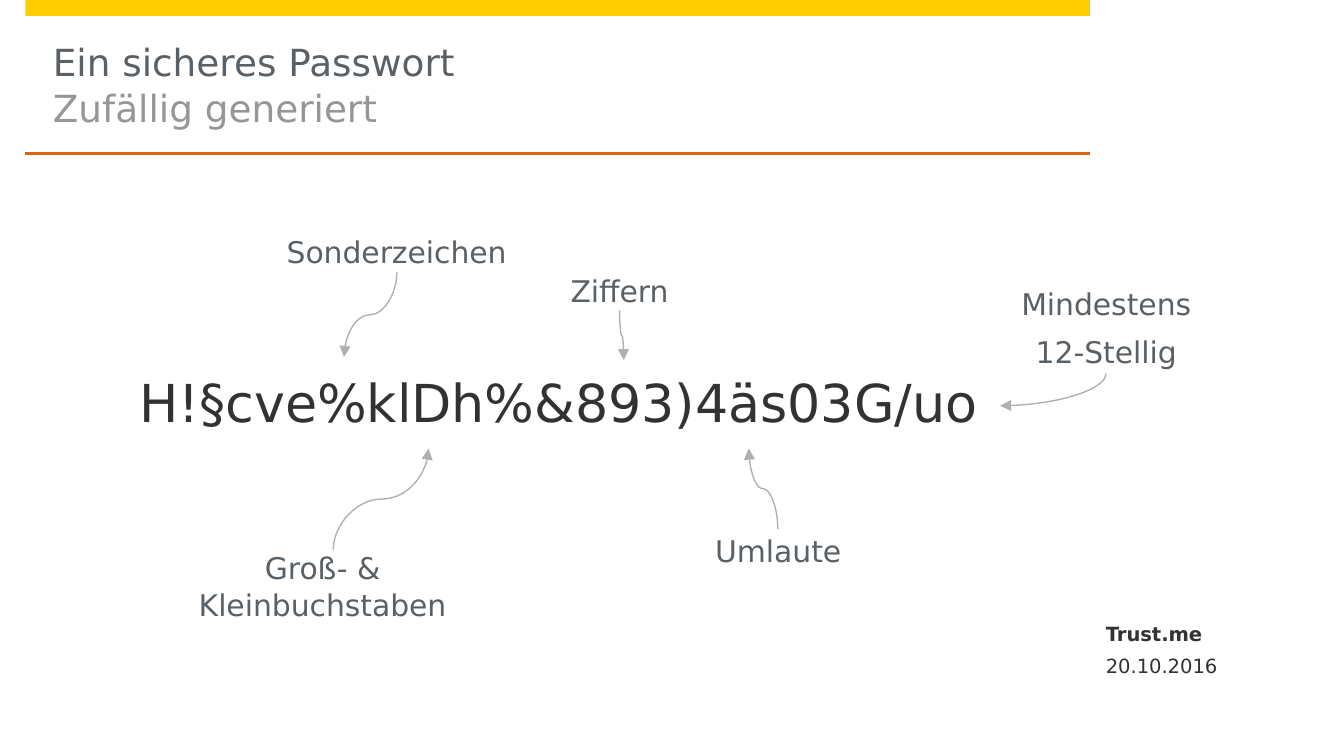
from lxml import etree
from pptx import Presentation
from pptx.dml.color import RGBColor
from pptx.enum.shapes import MSO_CONNECTOR, MSO_SHAPE
from pptx.enum.text import MSO_ANCHOR, PP_ALIGN
from pptx.oxml.ns import qn
from pptx.util import Cm, Pt

RECTANGLE = MSO_SHAPE.RECTANGLE
STRAIGHT, CURVE = MSO_CONNECTOR.STRAIGHT, MSO_CONNECTOR.CURVE
TOP, MIDDLE, BOTTOM = MSO_ANCHOR.TOP, MSO_ANCHOR.MIDDLE, MSO_ANCHOR.BOTTOM
LEFT, CENTER = PP_ALIGN.LEFT, PP_ALIGN.CENTER

FONT = "DejaVu Sans"
LINE_SPACING = 1.03
COLORS = {
    "yellow": "FFCC00",
    "orange": "DD640C",
    "slate": "5A6166",
    "grey": "969696",
    "dark": "323232",
    "arrow": "B0B0B0",
}


class SlideBuilder:
    """Holds the slide and draws styled elements; all lengths are in cm."""

    def __init__(self, slide):
        self.slide = slide

    def color(self, name):
        return RGBColor.from_string(COLORS[name])

    def bar(self, left, top, width, height, color):
        bar = self.slide.shapes.add_shape(
            RECTANGLE, Cm(left), Cm(top), Cm(width), Cm(height))
        bar.shadow.inherit = False
        bar.fill.solid()
        bar.fill.fore_color.rgb = self.color(color)
        bar.line.fill.background()

    def run(self, paragraph, text, size, color, bold=False):
        run = paragraph.add_run()
        run.text = text
        run.font.name = FONT
        run.font.size = Pt(size)
        run.font.bold = bold
        run.font.color.rgb = self.color(color)

    def frame(self, left, top, width, height, anchor, inset=(0, 0)):
        box = self.slide.shapes.add_textbox(
            Cm(left), Cm(top), Cm(width), Cm(height))
        frame = box.text_frame
        frame.word_wrap = True
        frame.vertical_anchor = anchor
        frame.margin_left, frame.margin_top = Cm(inset[0]), Cm(inset[1])
        frame.margin_right = frame.margin_bottom = 0
        return frame

    def title(self, left, top, width, height, heading, subheading):
        frame = self.frame(left, top, width, height, TOP, (0, 0.41))
        paragraph = frame.paragraphs[0]
        paragraph.alignment = LEFT
        paragraph.line_spacing = LINE_SPACING
        self.run(paragraph, heading, 20, "slate")
        paragraph.add_line_break()
        self.run(paragraph, subheading, 20, "grey")

    def centered(self, left, top, width, height, lines, size=16, color="slate"):
        frame = self.frame(left, top, width, height, MIDDLE)
        for index, line in enumerate(lines):
            paragraph = frame.add_paragraph() if index else frame.paragraphs[0]
            paragraph.alignment = CENTER
            paragraph.line_spacing = LINE_SPACING
            paragraph.space_before = paragraph.space_after = Pt(3)
            self.run(paragraph, line, size, color)

    def footer(self, top, height, text, anchor, bold=False):
        frame = self.frame(20.6, top, 4.29, height, anchor, (0.3, 0))
        self.run(frame.paragraphs[0], text, 10.5, "dark", bold)

    def line(self, kind, start, end, color, width):
        line = self.slide.shapes.add_connector(
            kind, *(Cm(length) for length in (*start, *end)))
        line.line.color.rgb = self.color(color)
        line.line.width = Pt(width)
        etree.SubElement(line._element.spPr, qn("a:effectLst"))
        return line

    def curved_arrow(self, start, end, preset="curvedConnector3"):
        """Leaves start vertically: a flipped box turned by a quarter."""
        dx, dy = end[0] - start[0], end[1] - start[1]
        center_x, center_y = start[0] + dx / 2, start[1] + dy / 2
        half_x = abs(dy) / 2 * (-1 if dx > 0 else 1)
        half_y = abs(dx) / 2 * (-1 if dy < 0 else 1)
        arrow = self.line(CURVE, (center_x - half_x, center_y - half_y),
                          (center_x + half_x, center_y + half_y), "arrow", 0.75)
        properties = arrow._element.spPr
        quarter_turns = 1 if dx * dy < 0 else 3
        properties.find(qn("a:xfrm")).set("rot", str(quarter_turns * 5400000))
        properties.find(qn("a:prstGeom")).set("prst", preset)
        head = etree.SubElement(properties.find(qn("a:ln")), qn("a:tailEnd"))
        head.set("type", "triangle")


def main():
    presentation = Presentation()
    presentation.slide_width, presentation.slide_height = Cm(25.4), Cm(14.29)
    builder = SlideBuilder(
        presentation.slides.add_slide(presentation.slide_layouts[6]))

    # Header
    builder.bar(0.48, 0, 20.12, 0.3, "yellow")
    builder.title(1, 0.3, 19.1, 2.57, "Ein sicheres Passwort",
                  "Zufällig generiert")
    builder.line(STRAIGHT, (0.48, 2.9), (20.6, 2.9), "orange", 2)

    # Password
    builder.centered(1, 6.68, 19.1, 1.8, ["H!§cve%klDh%&893)4äs03G/uo"],
                     28, "dark")

    # Rules: lines, label left, top and height, arrow start and end
    rules = [
        (["Groß- & Kleinbuchstaben"], 3.1, 10.67, 0.8,
         (6.3, 10.39), (8.1, 8.48)),
        (["Sonderzeichen"], 4.5, 4.35, 0.8, (7.5, 5.15), (6.5, 6.75)),
        (["Ziffern"], 8.71, 5.08, 0.8, (11.71, 5.87), (11.79, 6.81)),
        (["Umlaute"], 11.71, 10, 0.8, (14.7, 10), (14.15, 8.48)),
    ]
    for lines, left, top, height, start, end in rules:
        builder.curved_arrow(start, end)
        builder.centered(left, top, 6, height, lines)

    # Minimum length, with a single bend
    builder.curved_arrow((20.9, 7.06), (18.9, 7.67), "curvedConnector2")
    builder.centered(17.91, 5.31, 6, 1.75, ["Mindestens", "12-Stellig"])

    # Footer
    builder.footer(10.75, 1.45, "Trust.me", BOTTOM, bold=True)
    builder.footer(12.37, 0.48, "20.10.2016", TOP)

    presentation.save("out.pptx")


if __name__ == "__main__":
    main()
